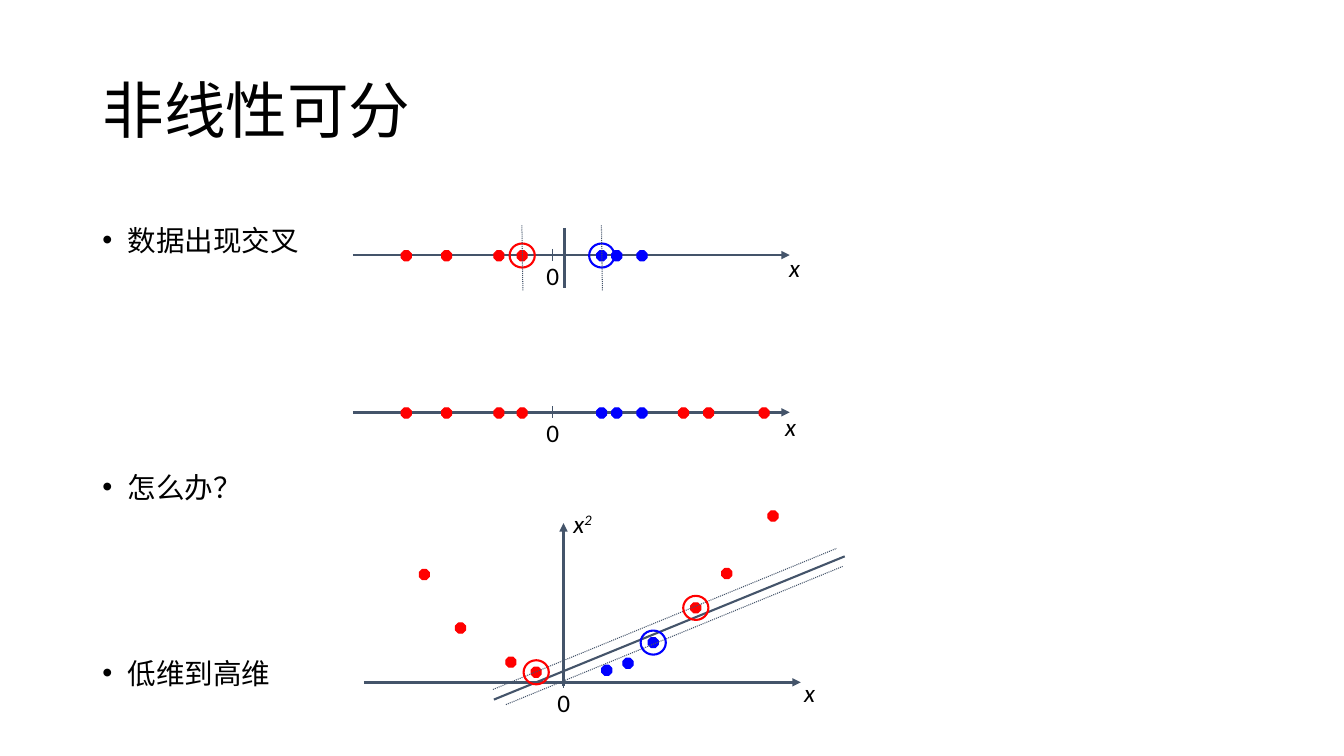
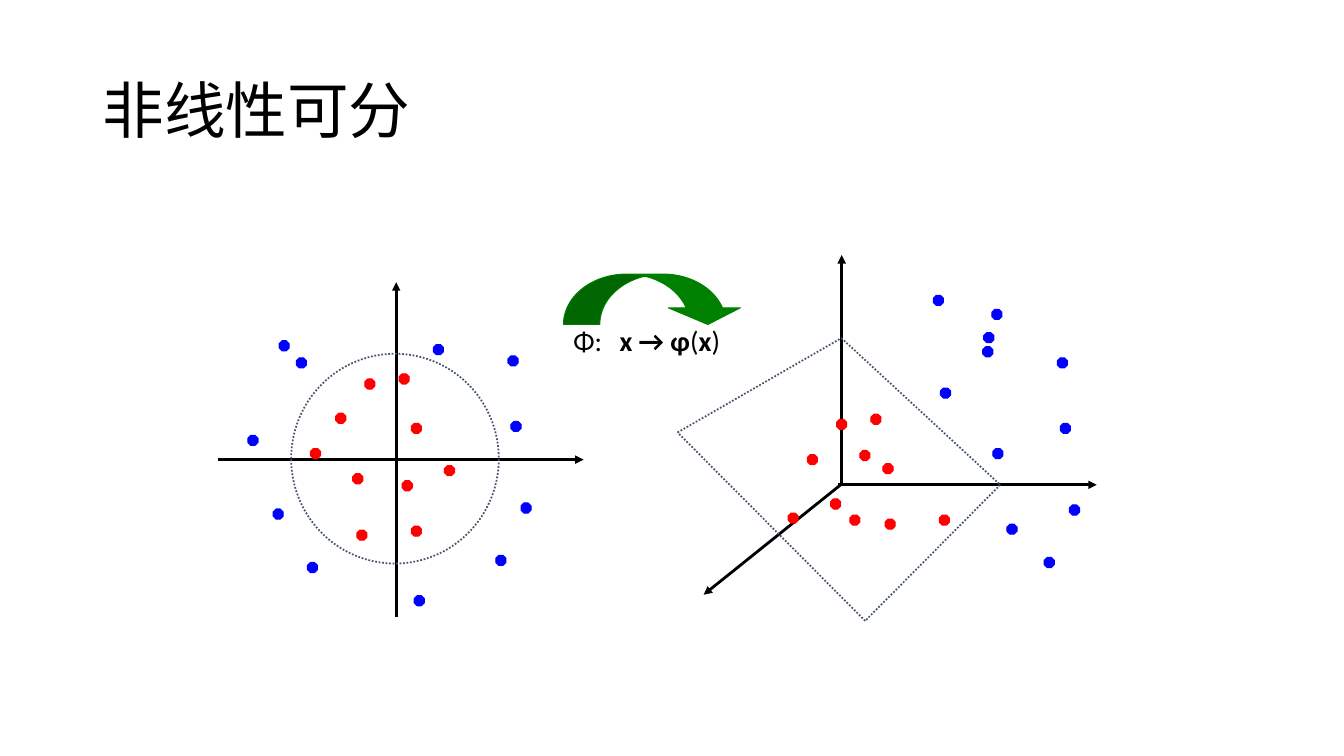
import lxml.etree
import pptx
import pptx.dml.color
import pptx.enum.dml
import pptx.enum.shapes
import pptx.enum.text
import pptx.oxml.ns
import pptx.util

Pt = pptx.util.Pt
qn = pptx.oxml.ns.qn
SHAPE = pptx.enum.shapes.MSO_SHAPE
ALIGN = pptx.enum.text.PP_ALIGN
ANCHOR = pptx.enum.text.MSO_ANCHOR

LATIN, CJK = "Calibri", "Noto Sans CJK SC"
BLACK, SLATE, RED, BLUE, GREEN = "000000", "44546A", "FF0000", "0000FF", "008000"


def rgb(hex_color):
    return pptx.dml.color.RGBColor.from_string(hex_color)


def add_xml(parent, tag, **attributes):
    return lxml.etree.SubElement(parent, qn(tag), attributes)


class Deck:
    """Shared style and the slide being drawn."""

    def __init__(self):
        self.prs = pptx.Presentation()
        self.prs.slide_width, self.prs.slide_height = Pt(960), Pt(540)
        self.slide = None

    def new_slide(self, layout, title):
        self.slide = self.prs.slides.add_slide(self.prs.slide_layouts[layout])
        frame = self.place(self.slide.shapes.title, 66, 28.8, 828, 104.4)
        frame.vertical_anchor = ANCHOR.MIDDLE
        heading = frame.paragraphs[0]
        heading.text = title
        heading.line_spacing = 0.9
        self.style(heading, 44, CJK)

    def place(self, holder, x, y, w, h):
        holder.left, holder.top, holder.width, holder.height = map(Pt, (x, y, w, h))
        frame = holder.text_frame
        frame.word_wrap = True
        frame.auto_size = pptx.enum.text.MSO_AUTO_SIZE.NONE
        return frame

    def style(self, paragraph, size, latin=LATIN, italic=None):
        paragraph.alignment = ALIGN.LEFT
        font = paragraph.font
        font.size, font.name, font.italic = Pt(size), latin, italic
        font.color.rgb = rgb(BLACK)
        add_xml(paragraph._p.pPr.find(qn("a:defRPr")), "a:ea", typeface=CJK)

    def bullets(self, items):
        """Each item is its text and the space before it."""
        frame = self.place(self.slide.placeholders[1], 66, 144, 828, 342.7)
        frame.vertical_anchor = ANCHOR.TOP
        for i, (text, gap) in enumerate(items):
            point = frame.add_paragraph() if i else frame.paragraphs[0]
            point.text = text
            point.line_spacing, point.space_before = Pt(36), Pt(gap)
            properties = point._p.get_or_add_pPr()
            properties.set("marL", str(Pt(18)))
            properties.set("indent", str(-Pt(18)))
            add_xml(properties, "a:buFont", typeface="Arial")
            add_xml(properties, "a:buChar", char="•")
            self.style(point, 20.4)

    def label(self, x, y, w, h, runs, size=18, italic=None, tab=None):
        """Each run is its text, bold flag and baseline shift."""
        frame = self.place(self.slide.shapes.add_textbox(0, 0, 0, 0), x, y, w, h)
        paragraph = frame.paragraphs[0]
        paragraph.space_before = Pt(0)
        for text, bold, baseline in runs:
            run = paragraph.add_run()
            run.text = text
            if bold:
                run.font.bold = True
            if baseline:
                run._r.get_or_add_rPr().set("baseline", str(baseline))
        if tab:
            tabs = add_xml(paragraph._p.get_or_add_pPr(), "a:tabLst")
            add_xml(tabs, "a:tab", pos=str(Pt(tab)), algn="l")
        self.style(paragraph, size, italic=italic)

    def line(self, start, end, color=SLATE, width=2, arrow=False, dotted=False):
        connector = self.slide.shapes.add_connector(
            pptx.enum.shapes.MSO_CONNECTOR.STRAIGHT, *map(Pt, (*start, *end)))
        connector.line.color.rgb = rgb(color)
        connector.line.width = Pt(width)
        if dotted:
            connector.line.dash_style = pptx.enum.dml.MSO_LINE.ROUND_DOT
        if arrow:
            add_xml(connector.line._get_or_add_ln(), "a:tailEnd", type="triangle")
        add_xml(connector._element.spPr, "a:effectLst")

    def shape(self, kind, x, y, w, h, color, width=0.75, filled=True, dotted=False):
        shape = self.slide.shapes.add_shape(kind, *map(Pt, (x, y, w, h)))
        shape.shadow.inherit = False
        if filled:
            shape.fill.solid()
            shape.fill.fore_color.rgb = rgb(color)
        else:
            shape.fill.background()
        shape.line.color.rgb = rgb(color)
        shape.line.width = Pt(width)
        if dotted:
            shape.line.dash_style = pptx.enum.dml.MSO_LINE.ROUND_DOT
        return shape

    def dots(self, color, centers):
        for x, y in centers:
            self.shape(SHAPE.OCTAGON, x - 3.6, y - 3.6, 7.2, 7.2, color)

    def support_ring(self, color, x, y):
        self.shape(SHAPE.OVAL, x - 9, y - 8.6, 18, 17.2, color, 1.5, filled=False)

    def number_line(self, x, y, name_at):
        """Horizontal axis with its zero at x, y."""
        self.line((x - 142.5, y), (x + 169.5, y), arrow=True)
        self.line((x, y - 4.4), (x, y + 4.4), width=0.75)
        self.label(x - 11.5, y, 27.4, 28.8, [("0", False, 0)])
        self.label(*name_at, 36, 28.8, [("x", False, 0)], italic=True)


def one_dimension_to_two(deck):
    deck.new_slide(1, "非线性可分")
    deck.bullets([("数据出现交叉", 0), ("怎么办？", 140.4), ("低维到高维", 96.9)])

    # Separable and mixed data on a line
    near_red, near_blue = 373, 429.8
    reds, blues = [290.2, 319, 356.4, near_red], [near_blue, 440.6, 458.6]
    far_reds = [488.2, 506.2, 545.8]
    rows = [(182.2, reds, (556.6, 176.4)), (294.5, reds + far_reds, (553.7, 290.2))]
    for y, row_reds, name_at in rows:
        deck.number_line(394.6, y, name_at)
        deck.dots(RED, [(x, y + 0.5) for x in row_reds])
        deck.dots(BLUE, [(x, y + 0.5) for x in blues])

    # Boundary and margins of the separable row
    deck.line((403.2, 162.7), (403.2, 205.9), width=1.5)
    for color, x in ((RED, near_red), (BLUE, near_blue)):
        deck.support_ring(color, x, 182.5)
        deck.line((x + 0.5, 207.4), (x - 0.2, 160.6), width=0.75, dotted=True)

    # Data lifted onto x and x²
    deck.number_line(402.5, 487.4, (567.4, 480.2))
    deck.line((402.5, 490.3), (402.5, 373.7), arrow=True)
    deck.label(402.5, 359.3, 36, 28.8, [("x", False, 0), ("2", False, 30000)], italic=True)
    red_supports, blue_support = [(383, 480.2), (497, 434.2)], (466.6, 459)
    deck.dots(RED, [(303.1, 410.4), (329, 448.6), (365, 473), *red_supports,
                    (519.1, 409.7), (552.2, 368.6)])
    deck.dots(BLUE, [(433.4, 478.8), (448.6, 473.8), blue_support])
    deck.line((352.8, 499.7), (603.4, 397.4), width=1.5)
    for start, end in (((352.1, 492.5), (597.6, 391.7)), ((361.4, 503.3), (601.9, 404.6))):
        deck.line(start, end, width=0.75, dotted=True)
    for center in red_supports:
        deck.support_ring(RED, *center)
    deck.support_ring(BLUE, *blue_support)


def two_dimensions_to_three(deck):
    deck.new_slide(5, "非线性可分")

    # Plane with a circular boundary
    for start, end in (((283, 440.6), (283, 201.6)), ((155.5, 328.3), (416.9, 328.3))):
        deck.line(start, end, BLACK, arrow=True)
    deck.dots(RED, [
        (288.7, 270.7), (243.4, 298.8), (255.6, 342), (297.4, 379.4), (264.2, 274.3),
        (225.4, 324), (258.5, 382.3), (297.4, 306), (321.1, 336.2), (290.9, 347)])
    deck.dots(BLUE, [
        (368.6, 304.6), (357.8, 400.3), (180.7, 314.6), (299.5, 429.1),
        (375.8, 362.9), (223.2, 405.4), (198.7, 367.2), (203, 247),
        (313.2, 249.8), (215.3, 259.2), (366.5, 257.8)])
    deck.shape(SHAPE.OVAL, 208, 252.7, 148.3, 149.8, SLATE, 1.25, filled=False, dotted=True)

    # Space with a separating plane
    for start, end in (((601.2, 344.9), (601.2, 182.2)), ((598.3, 346.3), (783.4, 346.3)),
                       ((600.5, 346.3), (502.6, 424.8))):
        deck.line(start, end, BLACK, arrow=True)
    deck.dots(RED, [
        (625.7, 299.5), (580.3, 328.3), (610.6, 371.5), (674.6, 371.5), (601.2, 303.1),
        (617.8, 325.4), (635.8, 374.4), (634.3, 334.8), (596.9, 360), (566.6, 370.1)])
    deck.dots(BLUE, [
        (761, 306), (749.5, 401.8), (712.1, 224.6), (712.8, 324),
        (767.5, 364.3), (675.4, 280.8), (722.9, 378), (706.3, 241.2),
        (705.6, 251.3), (670.3, 214.6), (758.9, 259.2)])
    corners = [(601, 241.5), (714.5, 346.3), (618, 443.5), (484, 308.9)]
    for start, end in zip(corners, corners[1:] + corners[:1]):
        deck.line(start, end, width=1.25, dotted=True)

    # Mapping between the two
    mapping = deck.shape(SHAPE.CURVED_DOWN_ARROW, 402.5, 195.8, 128.9, 36, GREEN)
    for i, value in enumerate((0.72, 1.43, 0.33)):
        mapping.adjustments[i] = value
    deck.label(402.5, 227.5, 132.5, 31,
               [("Φ:\t", False, 0), ("x → φ", True, 0), ("(", False, 0),
                ("x", True, 0), (")", False, 0)], size=20, tab=33)


def main():
    deck = Deck()
    one_dimension_to_two(deck)
    two_dimensions_to_three(deck)
    deck.prs.save("out.pptx")


if __name__ == "__main__":
    main()
